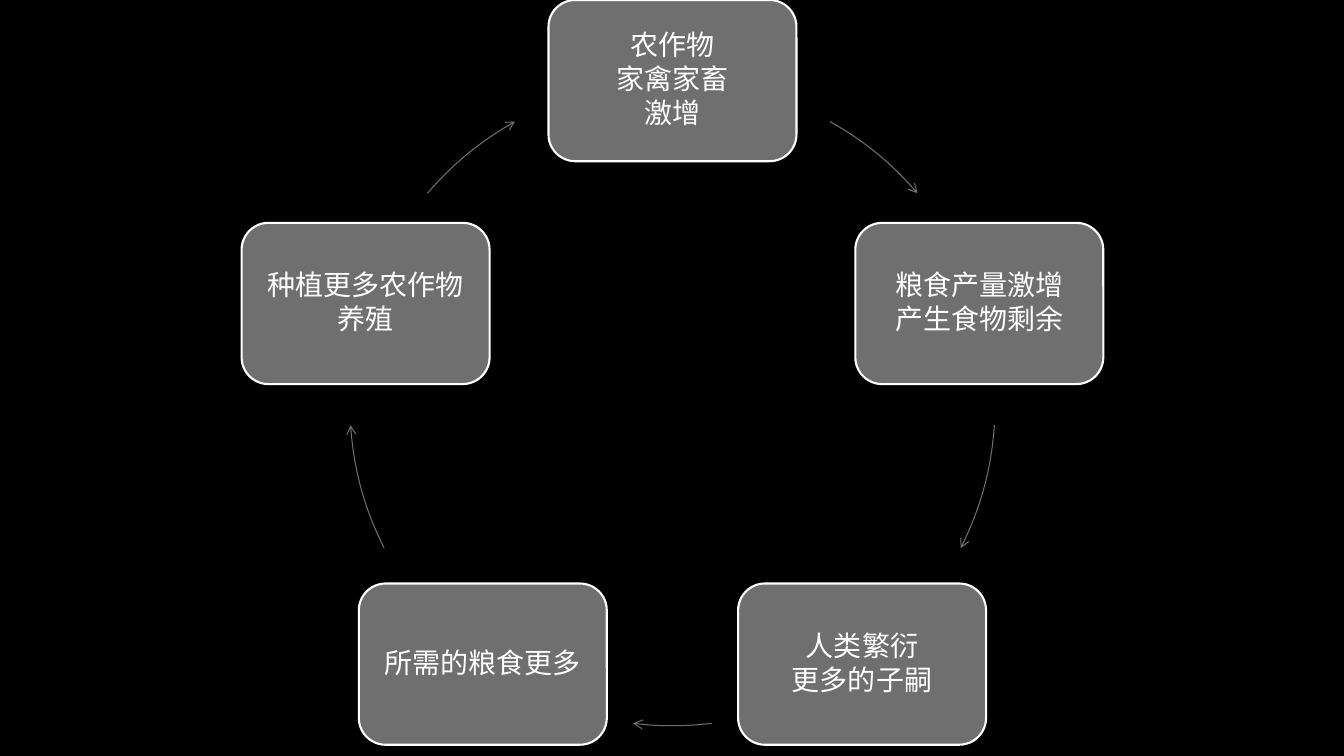
from math import cos, radians, sin

from lxml.etree import SubElement
from pptx import Presentation
from pptx.dml.color import RGBColor
from pptx.enum.shapes import MSO_SHAPE
from pptx.enum.text import MSO_ANCHOR, PP_ALIGN
from pptx.oxml.ns import qn
from pptx.util import Inches, Pt

STAGES = [
    ["农作物", "家禽家畜", "激增"],
    ["粮食产量激增", "产生食物剩余"],
    ["人类繁衍", "更多的子嗣"],
    ["所需的粮食更多"],
    ["种植更多农作物", "养殖"],
]
ARROW_SPANS = [(299.2, 319.4), (3.9, 26.7), (83, 97), (153.3, 176.1), (220.6, 240.8)]

BLACK = RGBColor(0, 0, 0)
GRAY = RGBColor(0x6F, 0x6F, 0x6F)
WHITE = RGBColor(0xFF, 0xFF, 0xFF)
FONT = "Noto Sans CJK SC"
CENTER_X, CENTER_Y, RADIUS = 6.67, 4, 3.2
BOX_W, BOX_H, INSET = 2.46, 1.6, 0.16

FRAME = {"word_wrap": True, "vertical_anchor": MSO_ANCHOR.MIDDLE}
FRAME.update({f"margin_{side}": Inches(INSET) for side in ("left", "right", "top", "bottom")})
PARAGRAPH = {"alignment": PP_ALIGN.CENTER, "line_spacing": 0.9, "space_after": Pt(2.5)}
TEXT = {"name": FONT, "size": Pt(20)}


def apply(obj, values):
    """Set every attribute in values on obj."""
    for name, value in values.items():
        setattr(obj, name, value)


def add_outlined(slide, kind, x, y, w, h, color, width):
    """Add a shadowless preset shape with a solid outline."""
    sp = slide.shapes.add_shape(kind, Inches(x), Inches(y), Inches(w), Inches(h))
    sp.shadow.inherit = False
    sp.line.color.rgb = color
    sp.line.width = Pt(width)
    return sp


def add_stage(slide, lines, angle):
    """Add a stage box centred on the circle at the given angle."""
    x = CENTER_X + RADIUS * cos(radians(angle)) - BOX_W / 2
    y = CENTER_Y + RADIUS * sin(radians(angle)) - BOX_H / 2
    sp = add_outlined(slide, MSO_SHAPE.ROUNDED_RECTANGLE, x, y, BOX_W, BOX_H, WHITE, 1.5)
    sp.fill.solid()
    sp.fill.fore_color.rgb = GRAY
    tf = sp.text_frame
    apply(tf, FRAME)
    for i, line in enumerate(lines):
        p = tf.add_paragraph() if i else tf.paragraphs[0]
        apply(p, PARAGRAPH)
        r = p.add_run()
        r.text = line
        apply(r.font, TEXT)
        r.font.color.rgb = WHITE
        SubElement(r._r.get_or_add_rPr(), qn("a:ea"), typeface=FONT)


def add_arrow(slide, span):
    """Add a clockwise arc arrow between two angles of the circle."""
    sp = add_outlined(slide, MSO_SHAPE.ARC, CENTER_X - RADIUS, CENTER_Y - RADIUS,
                      2 * RADIUS, 2 * RADIUS, GRAY, 0.75)
    sp.fill.background()
    for i, angle in enumerate(span):
        sp.adjustments[i] = angle * 0.6
    SubElement(sp.line._get_or_add_ln(), qn("a:tailEnd"), type="arrow")


def main():
    """Build the five-stage cycle slide."""
    prs = Presentation()
    prs.slide_width, prs.slide_height = Inches(13.33), Inches(7.5)
    s = prs.slides.add_slide(prs.slide_layouts[6])
    s.background.fill.solid()
    s.background.fill.fore_color.rgb = BLACK
    for i, (lines, span) in enumerate(zip(STAGES, ARROW_SPANS)):
        add_stage(s, lines, -90 + i * 360 / len(STAGES))
        add_arrow(s, span)
    prs.save("out.pptx")


if __name__ == "__main__":
    main()
